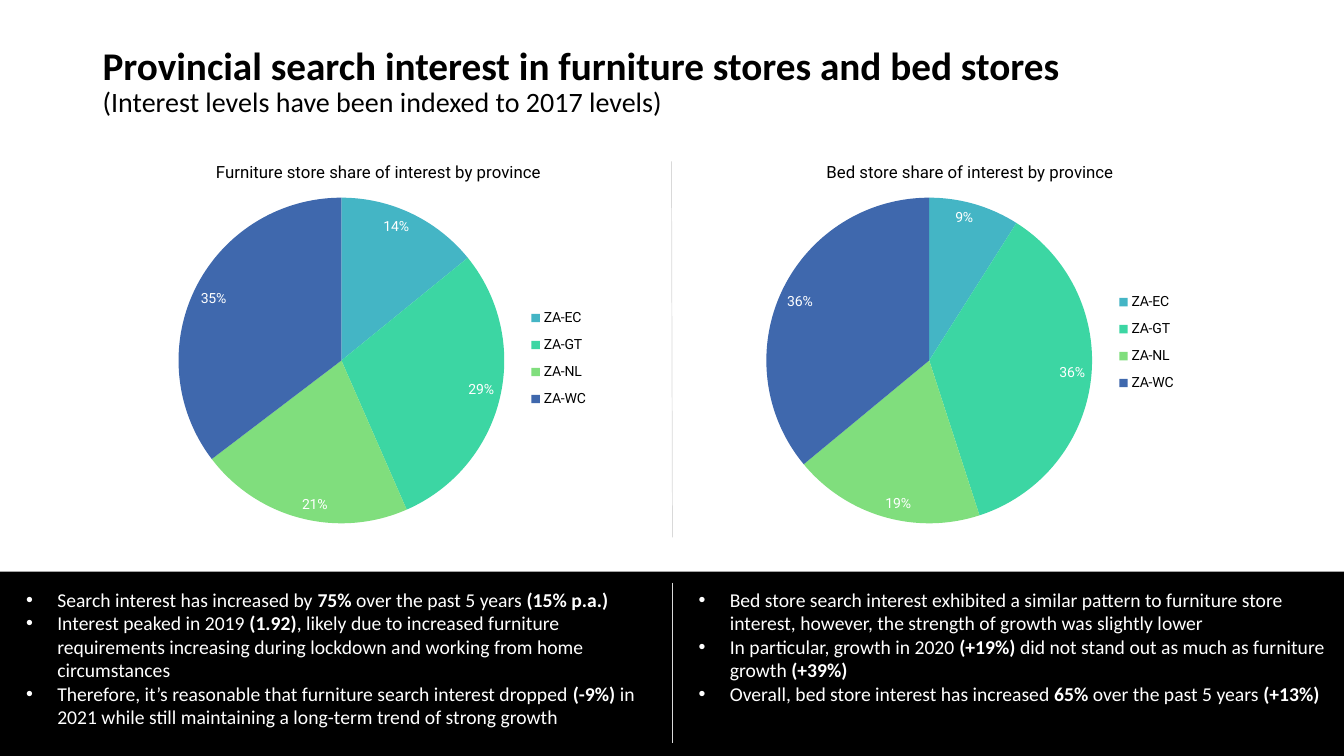
from lxml.etree import SubElement
from pptx import Presentation
from pptx.chart.data import CategoryChartData
from pptx.dml.color import RGBColor
from pptx.enum.chart import XL_CHART_TYPE, XL_LABEL_POSITION, XL_LEGEND_POSITION
from pptx.enum.shapes import MSO_CONNECTOR, MSO_SHAPE
from pptx.enum.text import MSO_ANCHOR, PP_ALIGN
from pptx.oxml import parse_xml
from pptx.oxml.ns import nsdecls, qn
from pptx.util import Inches, Pt

PROVINCES = ["ZA-EC", "ZA-GT", "ZA-NL", "ZA-WC"]
SLICE_COLORS = ["44B5C5", "3CD6A3", "80DE7D", "3F68AD"]

FURNITURE_NOTES = [
    "Search interest has increased by **75% **over the past 5 years **(15% p.a.)**",
    "Interest peaked in 2019 **(1.92)**, likely due to increased furniture requirements "
    "increasing during lockdown and working from home circumstances",
    "Therefore, it’s reasonable that furniture search interest dropped **(-9%) **in 2021 "
    "while still maintaining a long-term trend of strong growth",
]
BED_NOTES = [
    "Bed store search interest exhibited a similar pattern to furniture store interest, "
    "however, the strength of growth was slightly lower",
    "In particular, growth in 2020 **(+19%) **did not stand out as much as furniture "
    "growth **(+39%)**",
    "Overall, bed store interest has increased **65%** over the past 5 years **(+13%)**",
]


def rgb(value):
    return RGBColor.from_string(value)


def set_font(font, size, color, name, bold=False):
    font.size = Pt(size)
    font.name = name
    font.bold = bold
    font.color.rgb = rgb(color)


def write(para, text, **style):
    for index, part in enumerate(text.split("**")):
        if part:
            span = para.add_run()
            span.text = part
            set_font(span.font, **{**style, "bold": style.get("bold", index % 2 == 1)})


def place(element, index, **fractions):
    for old in element.findall(qn("c:layout")):
        element.remove(old)
    layout = parse_xml(f"<c:layout {nsdecls('c')}/>")
    manual = SubElement(layout, qn("c:manualLayout"))
    if "target" in fractions:
        SubElement(manual, qn("c:layoutTarget")).set("val", fractions.pop("target"))
    for axis in "xy":
        SubElement(manual, qn(f"c:{axis}Mode")).set("val", "edge")
    for key, value in fractions.items():
        SubElement(manual, qn(f"c:{key}")).set("val", str(value))
    element.insert(index, layout)


class SlideBuilder:
    body_font = "Calibri"
    chart_font = "Roboto"
    ink = "000000"
    paper = "FFFFFF"
    rule = "D9D9D9"

    def __init__(self, page):
        self.page = page

    def title(self, heading, subtitle, left, top, width, height):
        box = self.page.shapes.add_textbox(Inches(left), Inches(top), Inches(width), Inches(height))
        frame = box.text_frame
        frame.word_wrap = True
        frame.vertical_anchor = MSO_ANCHOR.MIDDLE
        para = frame.paragraphs[0]
        para.line_spacing = 0.9
        write(para, heading, size=28, color=self.ink, name=self.body_font, bold=True)
        para.add_line_break()
        write(para, subtitle, size=20, color=self.ink, name=self.body_font)

    def panel(self, left, top, width, height):
        box = self.page.shapes.add_shape(
            MSO_SHAPE.RECTANGLE, Inches(left), Inches(top), Inches(width), Inches(height))
        box.shadow.inherit = False
        box.fill.solid()
        box.fill.fore_color.rgb = rgb(self.ink)
        box.line.fill.background()
        return box

    def bullets(self, notes, left, top, width, height):
        frame = self.panel(left, top, width, height).text_frame
        frame.word_wrap = True
        frame.vertical_anchor = MSO_ANCHOR.TOP
        for index, note in enumerate(notes):
            para = frame.add_paragraph() if index else frame.paragraphs[0]
            para.alignment = PP_ALIGN.LEFT
            properties = para._p.get_or_add_pPr()
            properties.set("marL", str(Inches(0.31)))
            properties.set("indent", str(Inches(-0.31)))
            SubElement(properties, qn("a:buFont")).set("typeface", "Arial")
            SubElement(properties, qn("a:buChar")).set("char", "•")
            write(para, note, size=14, color=self.paper, name=self.body_font)

    def divider(self, start_x, start_y, end_x, end_y):
        line = self.page.shapes.add_connector(
            MSO_CONNECTOR.STRAIGHT,
            Inches(start_x), Inches(start_y), Inches(end_x), Inches(end_y))
        line.line.color.rgb = rgb(self.rule)
        line.line.width = Pt(0.5)
        SubElement(line._element.spPr, qn("a:effectLst"))

    def pie(self, heading, shares, left, top, width, height, title_x, legend_y):
        data = CategoryChartData()
        data.categories = PROVINCES
        data.add_series("Series 1", shares)
        chart = self.page.shapes.add_chart(
            XL_CHART_TYPE.PIE, Inches(left), Inches(top), Inches(width), Inches(height), data).chart
        set_font(chart.font, 10, self.ink, self.body_font)

        chart.has_title = True
        para = chart.chart_title.text_frame.paragraphs[0]
        write(para, heading, size=12, color=self.ink, name=self.chart_font)
        place(chart.chart_title._element, 1, x=title_x, y=0.045)

        chart.has_legend = True
        chart.legend.position = XL_LEGEND_POSITION.RIGHT
        chart.legend.include_in_layout = False
        set_font(chart.legend.font, 10, self.ink, self.chart_font)
        place(chart.legend._element, 1, x=0.75, y=legend_y, w=0.13, h=0.3)

        place(chart._chartSpace.chart.plotArea, 0,
              target="inner", x=0.15, y=0.145, w=0.57, h=0.82)
        plot = chart.plots[0]
        plot.vary_by_categories = True
        for index, color in enumerate(SLICE_COLORS):
            fill = plot.series[0].points[index].format.fill
            fill.solid()
            fill.fore_color.rgb = rgb(color)
        plot.has_data_labels = True
        labels = plot.data_labels
        labels.show_percentage = True
        labels.show_value = False
        labels.number_format = "0%"
        labels.number_format_is_linked = False
        labels.position = XL_LABEL_POSITION.INSIDE_END
        set_font(labels.font, 10, self.paper, self.chart_font)


def main():
    deck = Presentation()
    deck.slide_width = Inches(13.33)
    deck.slide_height = Inches(7.5)
    builder = SlideBuilder(deck.slides.add_slide(deck.slide_layouts[6]))

    builder.title("Provincial search interest in furniture stores and bed stores",
                  "(Interest levels have been indexed to 2017 levels)", 0.92, 0.25, 11.5, 1.14)
    builder.panel(0, 5.67, 13.33, 1.83)
    builder.bullets(FURNITURE_NOTES, 0.16, 5.78, 6.42, 1.72)
    builder.divider(6.67, 5.78, 6.67, 7.37)
    builder.bullets(BED_NOTES, 6.83, 5.78, 6.42, 1.28)
    builder.divider(6.66, 1.6, 6.67, 5.33)
    builder.pie("Furniture store share of interest by province", [14, 29, 21, 35],
                0.92, 1.39, 5.67, 3.94, title_x=0.21, legend_y=0.4)
    builder.pie("Bed store share of interest by province", [9, 36, 19, 36],
                6.75, 1.39, 5.67, 3.94, title_x=0.25, legend_y=0.36)
    deck.save("out.pptx")


if __name__ == "__main__":
    main()
